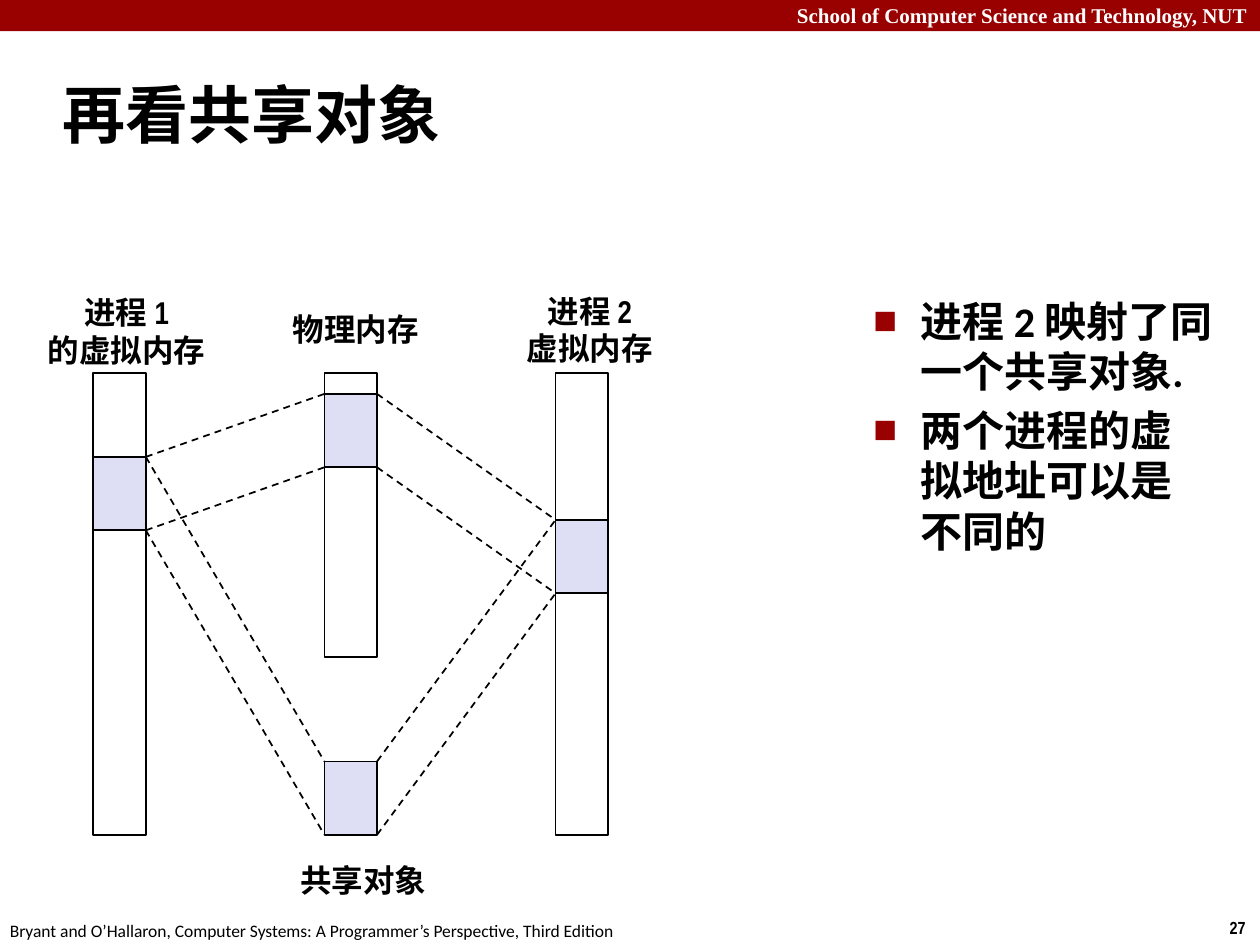
from dataclasses import dataclass

from lxml import etree
from pptx import Presentation
from pptx.dml.color import RGBColor
from pptx.enum.dml import MSO_LINE
from pptx.enum.shapes import MSO_CONNECTOR, MSO_SHAPE
from pptx.enum.text import MSO_ANCHOR, MSO_AUTO_SIZE, PP_ALIGN
from pptx.oxml.ns import qn
from pptx.util import Cm, Pt

LEFT, MID, RIGHT = PP_ALIGN.LEFT, PP_ALIGN.CENTER, PP_ALIGN.RIGHT
TOP, CENTRE = MSO_ANCHOR.TOP, MSO_ANCHOR.MIDDLE
NO_FIT = MSO_AUTO_SIZE.NONE
RECT, LINE, DASH = MSO_SHAPE.RECTANGLE, MSO_CONNECTOR.STRAIGHT, MSO_LINE.DASH


@dataclass(frozen=True)
class Theme:
    ink: str = "000000"
    paper: str = "FFFFFF"
    red: str = "990000"
    page: str = "DEDFF5"
    body: str = "Calibri"
    label: str = "Arial Narrow"
    serif: str = "Times New Roman"
    title_size: int = 36
    list_size: int = 24
    label_size: int = 18
    head_size: int = 12
    foot_size: int = 10
    stroke: int = 1


THEME = Theme()


def rgb(code):
    return RGBColor.from_string(code)


def place(shape, box):
    shape.left, shape.top, shape.width, shape.height = (Cm(n) for n in box)


def write(shape, text, font, size, color=THEME.ink, bold=True, align=LEFT,
          anchor=TOP, wrap=True):
    frame = shape.text_frame
    frame.text = text
    frame.word_wrap = wrap
    frame.auto_size = NO_FIT
    frame.vertical_anchor = anchor
    for para in frame.paragraphs:
        para.alignment = align
        for run in para.runs:
            run.font.name, run.font.size = font, Pt(size)
            run.font.bold, run.font.color.rgb = bold, rgb(color)


def add_text(slide, box, *args, **style):
    shape = slide.shapes.add_textbox(*(Cm(n) for n in box))
    write(shape, *args, **style)


def indent(para, size):
    props = para._p.get_or_add_pPr()
    props.set("marL", str(Cm(size)))
    props.set("indent", str(-Cm(size)))
    return props


def add_rect(slide, box, fill=None, line=None):
    shape = slide.shapes.add_shape(RECT, *(Cm(n) for n in box))
    shape.shadow.inherit = False
    if fill:
        shape.fill.solid()
        shape.fill.fore_color.rgb = rgb(fill)
    else:
        shape.fill.background()
    if line:
        shape.line.color.rgb = rgb(line)
        shape.line.width = Pt(THEME.stroke)
    else:
        shape.line.fill.background()


def add_dash(slide, *ends):
    line = slide.shapes.add_connector(LINE, *(Cm(n) for n in ends))
    line.line.color.rgb = rgb(THEME.ink)
    line.line.width = Pt(THEME.stroke)
    line.line.dash_style = DASH
    etree.SubElement(line._element.spPr, qn("a:effectLst"))


# Band at the top of the slide
def add_head(slide, box):
    left, top, width, height = box
    add_rect(slide, box, THEME.red)
    add_text(slide, (left, top - 0.08, width, height + 0.13),
             "School of Computer Science and Technology, NUT", THEME.serif,
             THEME.head_size, color=THEME.paper, align=RIGHT)


# Source and slide number
def add_foot(slide, box):
    left, top, width, height = box
    add_text(slide, (left, top, 12.9, height),
             "Bryant and O’Hallaron, Computer Systems: "
             "A Programmer’s Perspective, Third Edition",
             THEME.body, THEME.foot_size, bold=False, wrap=False)
    add_text(slide, (left + width - 0.86, top - 0.05, 0.86, height), "27",
             THEME.label, THEME.foot_size, wrap=False)


def add_title(slide, box):
    title = slide.shapes.title
    place(title, box)
    write(title, "再看共享对象", THEME.body, THEME.title_size, anchor=CENTRE)
    indent(title.text_frame.paragraphs[0], 0.33)


# Two processes mapping one object through physical memory
def add_maps(slide, box):
    left, top = box[:2]
    wide, tall = 1.06, 1.48
    one, mid, two = (left + 1.19 + 4.66 * col for col in range(3))
    bars = ((one, 9.32), (mid, 5.72), (two, 9.32))
    for x, height in bars:
        add_rect(slide, (x, top + 1.78, wide, height), line=THEME.ink)

    # Mapped pages and the shared object
    pages = {"one": (one, top + 3.47), "memory": (mid, top + 2.2),
             "two": (two, top + 4.74), "shared": (mid, top + 9.61)}
    for x, y in pages.values():
        add_rect(slide, (x, y, wide, tall), THEME.page, THEME.ink)

    # Dashed edges between facing corners
    links = (("one", "shared"), ("shared", "two"),
             ("one", "memory"), ("memory", "two"))
    for start, end in links:
        (x1, y1), (x2, y2) = pages[start], pages[end]
        for drop in (0, tall):
            add_dash(slide, x1 + wide, y1 + drop, x2, y2 + drop)

    # Captions
    names = (("进程 1\n的虚拟内存", 0, 0.03, 3.73, 1.8),
             ("物理内存", 4.93, 0.38, 3.1, 1.02),
             ("进程 2\n虚拟内存", 9.65, 0, 3.1, 1.8),
             ("共享对象", 5.08, 11.48, 3.1, 1.02))
    for text, x, y, width, height in names:
        add_text(slide, (left + x, top + y, width, height), text, THEME.label,
                 THEME.label_size, align=MID, anchor=CENTRE, wrap=False)


def add_list(slide, box):
    body = slide.placeholders[1]
    place(body, box)
    write(body, "进程 2 映射了同一个共享对象.\n两个进程的虚拟地址可以是不同的",
          THEME.body, THEME.list_size)
    for para in body.text_frame.paragraphs:
        props = indent(para, 0.95)
        tint = etree.SubElement(props, qn("a:buClr"))
        etree.SubElement(tint, qn("a:srgbClr"), val=THEME.red)
        etree.SubElement(props, qn("a:buSzPct"), val="60000")
        etree.SubElement(props, qn("a:buFont"), typeface=THEME.body)
        etree.SubElement(props, qn("a:buChar"), char="■")


def main():
    deck = Presentation()
    deck.slide_width, deck.slide_height = Cm(25.4), Cm(19.05)
    slide = deck.slides.add_slide(deck.slide_layouts[1])
    add_head(slide, (0, 0, 25.4, 0.63))
    add_foot(slide, (-0.05, 18.42, 25.45, 0.68))
    add_title(slide, (1, 1.22, 21.08, 2.11))
    add_maps(slide, (0.69, 5.74, 12.75, 12.5))
    add_list(slide, (17.35, 5.82, 7.37, 12.8))
    deck.save("out.pptx")


if __name__ == "__main__":
    main()
